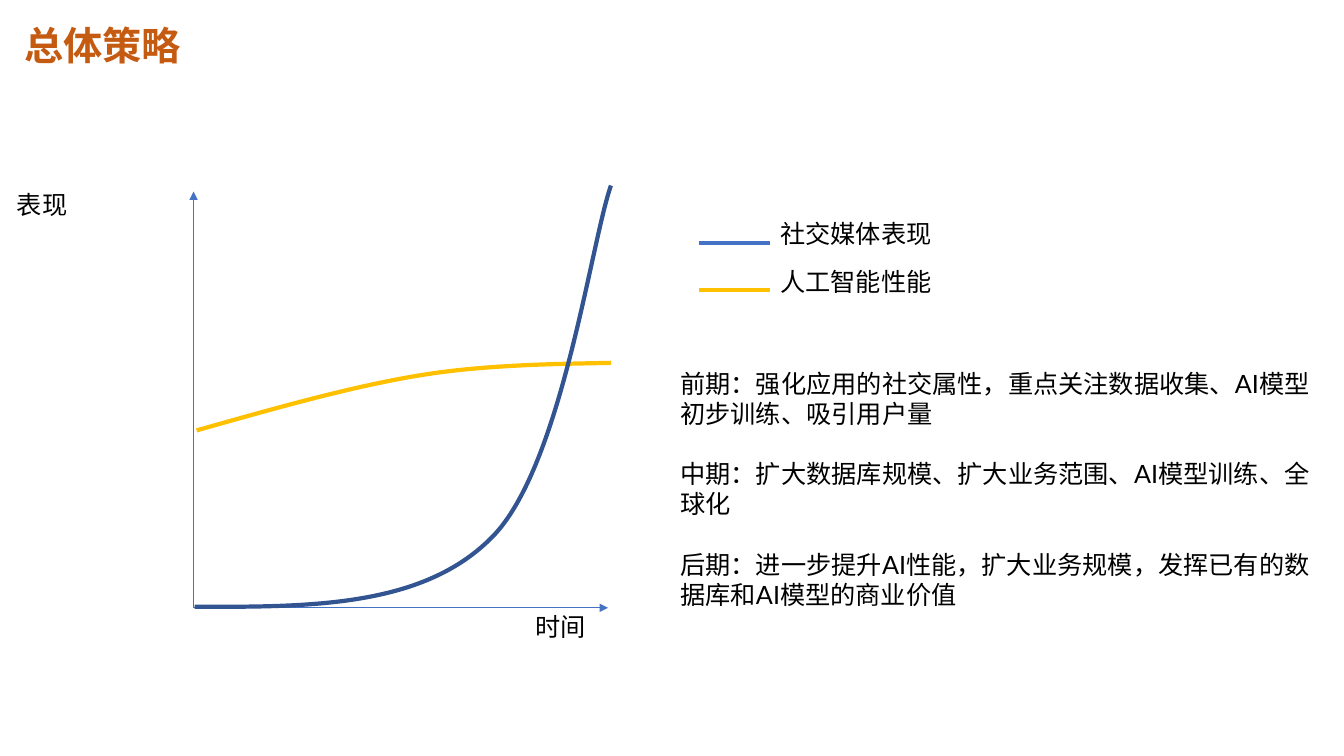
from dataclasses import dataclass

from lxml import etree
from pptx import Presentation
from pptx.dml.color import RGBColor
from pptx.enum.shapes import MSO_CONNECTOR
from pptx.oxml.ns import qn
from pptx.shapes.connector import Connector
from pptx.slide import Slide
from pptx.util import Pt

STRAIGHT = MSO_CONNECTOR.STRAIGHT
PX = 9144
BLUE = RGBColor(0x44, 0x72, 0xC4)
NAVY = RGBColor(0x32, 0x54, 0x91)
GOLD = RGBColor(0xFF, 0xC0, 0x00)
RUST = RGBColor(0xC5, 0x5A, 0x11)
BLACK = RGBColor(0, 0, 0)
SANS = "Noto Sans CJK SC"
LATO = "Lato"


@dataclass(frozen=True)
class Line:
    """A straight line between two points, in px."""

    start: tuple[int, int]
    end: tuple[int, int]
    color: RGBColor
    width: float = 3
    arrow: bool = False


@dataclass(frozen=True)
class Curve:
    """A chain of cubic curves: a start point, then three points for each."""

    points: tuple[tuple[int, int], ...]
    color: RGBColor


@dataclass(frozen=True)
class Label:
    """A text box with its place in px and its paragraphs."""

    box: tuple[int, int, int, int]
    lines: tuple[str, ...]
    font: str = SANS
    size: int = 18
    color: RGBColor = BLACK
    bold: bool = False
    wrap: bool = True
    gap: float = 0


LINES = (
    Line((192, 603), (192, 190), BLUE, 0.5, True),
    Line((192, 603), (603, 603), BLUE, 0.5, True),
    Line((693, 241), (764, 241), BLUE),
    Line((693, 288), (764, 288), GOLD),
)
CURVES = (
    Curve(((195, 427), (273, 405), (350, 383), (419, 372),
           (487, 361), (566, 361), (606, 360)), GOLD),
    Curve(((193, 602), (306, 602), (419, 603), (488, 533),
           (557, 464), (586, 241), (606, 184)), NAVY),
)
LABELS = (
    Label((14, 16, 318, 57), ("总体策略",), size=28, color=RUST, bold=True, wrap=False),
    Label((7, 183, 226, 57), ("表现",)),
    Label((521, 602, 172, 57), ("时间",)),
    Label((764, 212, 356, 57), ("社交媒体表现",)),
    Label((764, 259, 234, 57), ("人工智能性能",)),
    Label((665, 360, 667, 404), (
        "前期：强化应用的社交属性，重点关注数据收集、AI模型初步训练、吸引用户量",
        "中期：扩大数据库规模、扩大业务范围、AI模型训练、全球化",
        "后期：进一步提升AI性能，扩大业务规模，发挥已有的数据库和AI模型的商业价值",
    ), font=LATO, gap=21.6),
)


def draw_line(slide: Slide, line: Line) -> Connector:
    """Draw a straight line, with an arrowhead if asked."""
    ends = [value * PX for value in line.start + line.end]
    shape = slide.shapes.add_connector(STRAIGHT, *ends)
    shape.line.color.rgb = line.color
    shape.line.width = Pt(line.width)
    props = shape._element.spPr
    if line.arrow:
        etree.SubElement(props.find(qn("a:ln")), qn("a:tailEnd"), type="triangle")
    etree.SubElement(props, qn("a:effectLst"))
    return shape


def draw_curve(slide: Slide, curve: Curve) -> None:
    """Draw an open outline and turn each three segments into a cubic curve."""
    first, *rest = curve.points
    builder = slide.shapes.build_freeform(*first, scale=PX)
    builder.add_line_segments(rest, close=False)
    shape = builder.convert_to_shape()
    shape.shadow.inherit = False
    shape.fill.background()
    shape.line.color.rgb = curve.color
    shape.line.width = Pt(3)
    steps = list(shape._element.iter(qn("a:lnTo")))
    for index in range(0, len(steps), 3):
        cubic = etree.SubElement(steps[index].getparent(), qn("a:cubicBezTo"))
        for step in steps[index:index + 3]:
            cubic.append(step[0])
            step.getparent().remove(step)


def draw_label(slide: Slide, label: Label) -> None:
    """Draw a text box, with one font for Latin and Chinese."""
    frame = slide.shapes.add_textbox(*(value * PX for value in label.box)).text_frame
    frame.word_wrap = label.wrap
    frame.text = "\n".join(label.lines)
    for para in frame.paragraphs:
        para.space_after = Pt(label.gap)
        font = para.font
        font.name = label.font
        font.size = Pt(label.size)
        font.bold = label.bold
        font.color.rgb = label.color
        props = para._p.pPr.find(qn("a:defRPr"))
        etree.SubElement(props, qn("a:ea"), typeface=label.font)


def main() -> None:
    """Build the strategy slide and save it."""
    deck = Presentation()
    deck.slide_width, deck.slide_height = 1333 * PX, 750 * PX
    slide = deck.slides.add_slide(deck.slide_layouts[6])
    for line in LINES:
        draw_line(slide, line)
    for curve in CURVES:
        draw_curve(slide, curve)
    for label in LABELS:
        draw_label(slide, label)
    deck.save("out.pptx")


if __name__ == "__main__":
    main()
